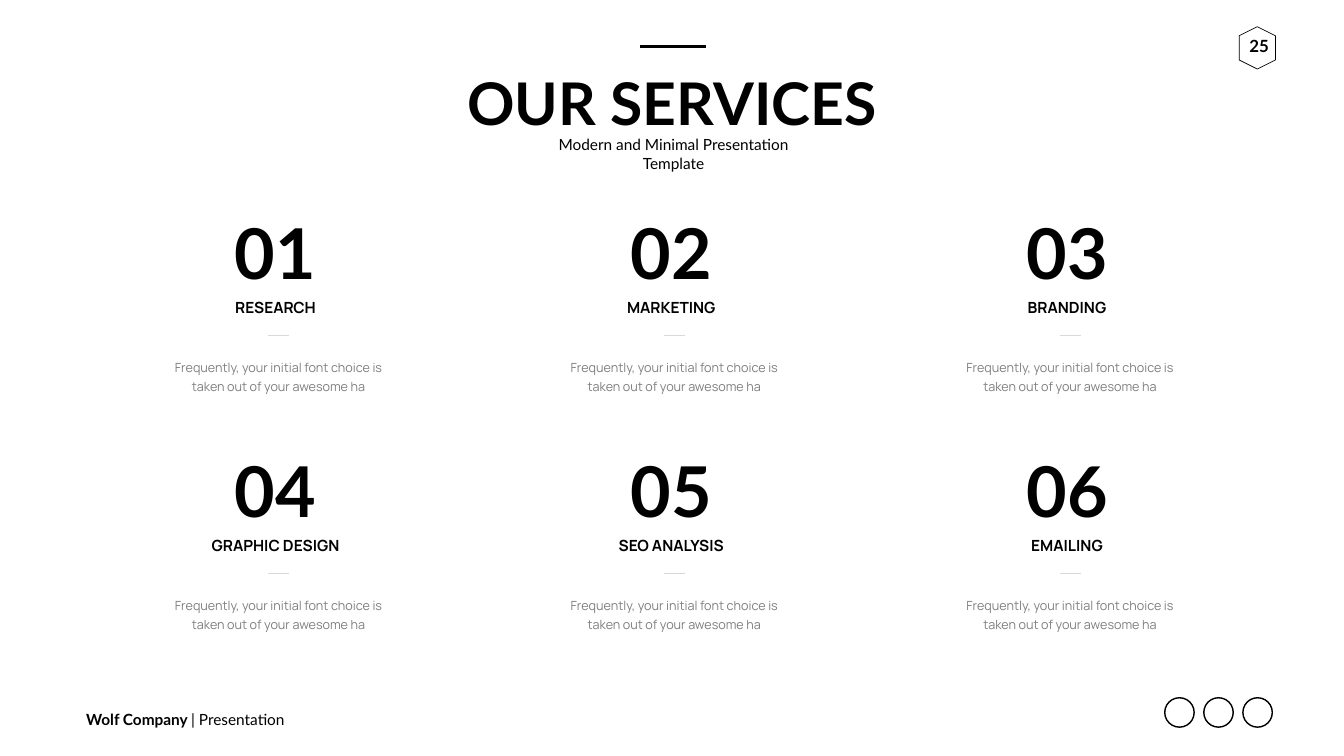
"""Build the "Our Services" slide: six numbered services in a three by two grid."""
import lxml.etree
import pptx
import pptx.dml.color
import pptx.enum.shapes
import pptx.enum.text
import pptx.oxml.ns
import pptx.util

Pt = pptx.util.Pt
Align = pptx.enum.text.PP_ALIGN
Anchor = pptx.enum.text.MSO_ANCHOR
Preset = pptx.enum.shapes.MSO_SHAPE

BLACK = pptx.dml.color.RGBColor(0x00, 0x00, 0x00)
GREY = pptx.dml.color.RGBColor(0x7F, 0x7F, 0x7F)
PALE = pptx.dml.color.RGBColor(0xD9, 0xD9, 0xD9)

SERVICES = ["RESEARCH", "MARKETING", "BRANDING", "GRAPHIC DESIGN", "SEO ANALYSIS", "EMAILING"]
DESCRIPTION = "Frequently, your initial font choice is taken out of your awesome ha"
COLUMNS, COLUMN_PITCH, ROW_PITCH = 3, 565.2, 340.3


class ServiceSlide:
    """Holds the text styles and the slide being drawn."""

    FONTS = {
        "title": {"name": "Lato", "size": Pt(84), "bold": True},
        "subtitle": {"name": "Lato", "size": Pt(22), "bold": False},
        "brand": {"name": "Lato", "size": Pt(22), "bold": True},
        "page": {"name": "Lato", "size": Pt(24), "bold": True},
        "number": {"name": "Lato", "size": Pt(100), "bold": True},
        "service": {"name": "Manrope", "size": Pt(22), "bold": True},
        "description": {"name": "Manrope", "size": Pt(18), "bold": False},
    }
    FRAMES = {
        "title": {"word_wrap": False, "vertical_anchor": Anchor.TOP},
        "subtitle": {"word_wrap": True, "vertical_anchor": Anchor.MIDDLE},
        "brand": {"word_wrap": True, "vertical_anchor": Anchor.MIDDLE},
        "page": {"word_wrap": False},
        "number": {"word_wrap": False},
        "service": {"word_wrap": False},
        "description": {"word_wrap": True, "margin_left": Pt(17.3), "margin_right": Pt(17.3),
                        "margin_top": Pt(8.65), "margin_bottom": Pt(8.65)},
    }
    PARAGRAPHS = {
        "brand": {"alignment": Align.LEFT},
        "service": {"line_spacing": Pt(26.8)},
        "description": {"line_spacing": Pt(27.4)},
    }

    def __init__(self, slide):
        self.slide = slide

    @staticmethod
    def apply(target, values):
        for attribute, value in values.items():
            setattr(target, attribute, value)

    def fill_frame(self, frame, style, runs, color):
        self.apply(frame, {"auto_size": pptx.enum.text.MSO_AUTO_SIZE.NONE, **self.FRAMES[style]})
        paragraph = frame.paragraphs[0]
        self.apply(paragraph, {"alignment": Align.CENTER, **self.PARAGRAPHS.get(style, {})})
        for words, run_style in runs:
            run = paragraph.add_run()
            run.text = words
            self.apply(run.font, self.FONTS[run_style])
            run.font.color.rgb = color

    def title(self, words, left, top, width, height):
        heading = self.slide.shapes.title
        self.apply(heading, {"left": Pt(left), "top": Pt(top),
                             "width": Pt(width), "height": Pt(height)})
        self.fill_frame(heading.text_frame, "title", [(words, "title")], BLACK)

    def text(self, style, runs, left, top, width, height, color=BLACK):
        box = self.slide.shapes.add_textbox(Pt(left), Pt(top), Pt(width), Pt(height))
        self.fill_frame(box.text_frame, style, runs, color)

    def rule(self, left, top, length, weight, color):
        rule = self.slide.shapes.add_connector(
            pptx.enum.shapes.MSO_CONNECTOR.STRAIGHT, Pt(left), Pt(top), Pt(left + length), Pt(top))
        rule.line.width = Pt(weight)
        rule.line.color.rgb = color
        properties = rule._element.spPr
        lxml.etree.SubElement(properties, pptx.oxml.ns.qn("a:effectLst"))

    def outline(self, preset, left, top, width, height, weight, rotation=0):
        badge = self.slide.shapes.add_shape(preset, Pt(left), Pt(top), Pt(width), Pt(height))
        badge.shadow.inherit = False
        badge.rotation = rotation
        badge.fill.background()
        badge.line.color.rgb = BLACK
        badge.line.width = Pt(weight)

    def service(self, index, name):
        row, column = divmod(index, COLUMNS)
        center = 397.8 + column * COLUMN_PITCH
        top = 295.2 + row * ROW_PITCH
        heading = center - 4.3
        self.text("number", [(f"{index + 1:02}", "number")], heading - 66, top, 132, 128)
        self.text("service", [(name, "service")], heading - 102, top + 126.8, 204, 34.6)
        self.rule(center - 15, top + 183, 30, 0.5, PALE)
        self.text("description", [(DESCRIPTION, "description")],
                  center - 181, top + 204.6, 362, 72, GREY)


def main():
    deck = pptx.Presentation()
    deck.slide_width, deck.slide_height = Pt(1919.5), Pt(1080)
    page = ServiceSlide(deck.slides.add_slide(deck.slide_layouts[5]))

    page.text("brand", [("Wolf Company ", "brand"), ("| Presentation", "subtitle")],
              116, 1010.2, 320, 33.8)
    page.outline(Preset.HEXAGON, 1765.4, 42.5, 60.5, 51.8, 1, rotation=90)
    page.text("page", [("25", "page")], 1764, 46.8, 68.4, 43.9)
    for position in range(3):
        page.outline(Preset.OVAL, 1663.5 + position * 55.8, 996.8, 42, 42, 2)

    page.title("OUR SERVICES", 656.6, 92.2, 606.2, 108.7)
    page.text("subtitle", [("Modern and Minimal Presentation Template", "subtitle")],
              764, 203, 396, 33.8)
    page.rule(914.4, 66.2, 93.6, 4.5, BLACK)
    for index, name in enumerate(SERVICES):
        page.service(index, name)

    deck.save("out.pptx")


if __name__ == "__main__":
    main()
